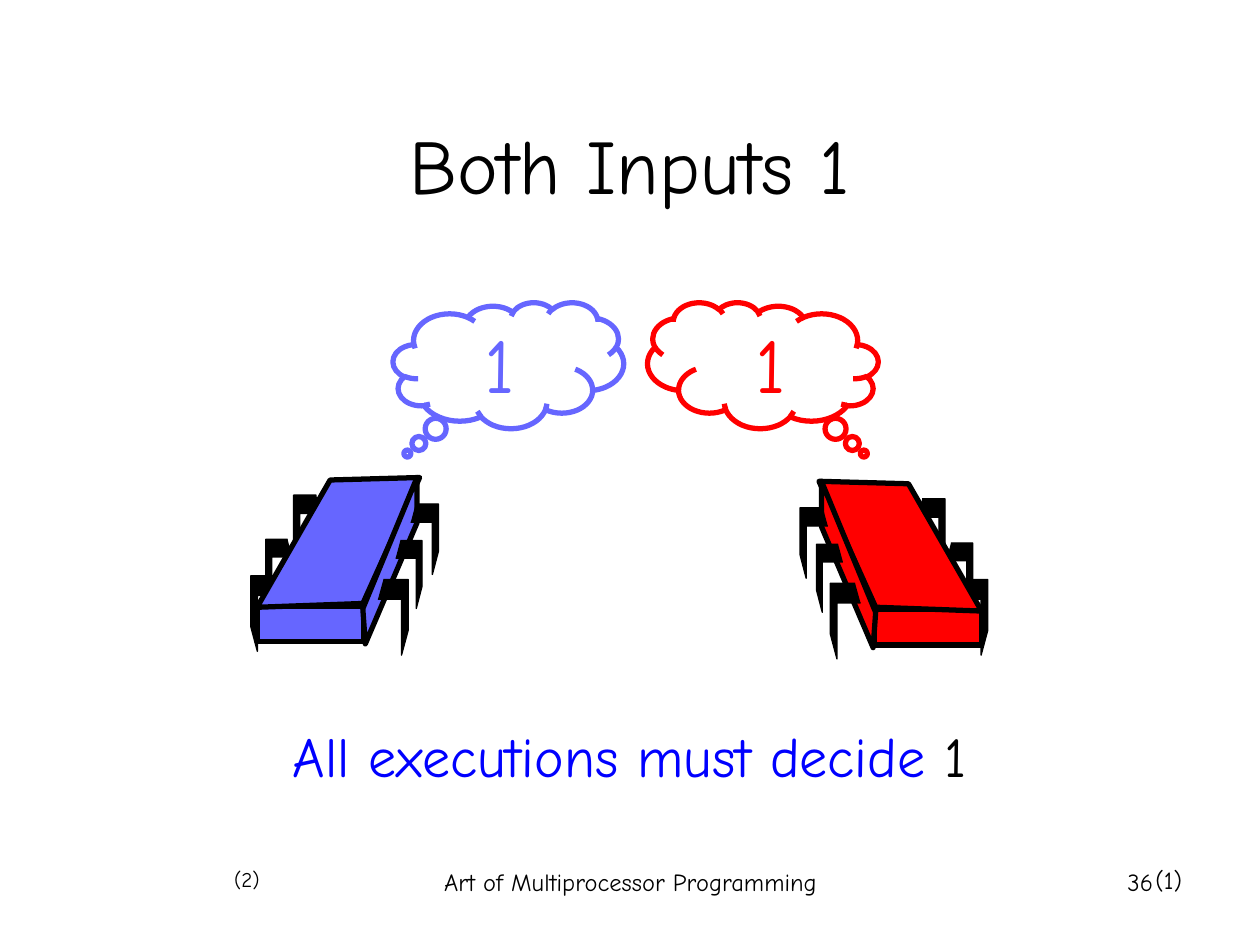
import pptx
import pptx.dml.color
import pptx.enum.shapes
import pptx.enum.text
import pptx.util

Inches = pptx.util.Inches
Align = pptx.enum.text.PP_ALIGN
Anchor = pptx.enum.text.MSO_ANCHOR
Shape = pptx.enum.shapes.MSO_SHAPE

THEME = {
    "font": "Comic Neue",
    "ink": "000000", "accent": "0000FF", "left": "6666FF", "right": "FF0000",
    "title": 44, "body": 32, "footer": 14, "small": 12,
    "outline": 3, "hairline": 0.75,
}

TEXTS = [
    ((0.75, 0.67, 8.5, 1.25), Align.CENTER, Anchor.MIDDLE, True, "title",
     [("Both Inputs 1", "ink")]),
    ((0.75, 5.68, 8.5, 0.99), Align.CENTER, Anchor.TOP, True, "body",
     [("All executions must decide ", "accent"), ("1", "ink")]),
    ((1.76, 6.83, 0.4, 0.3), Align.RIGHT, Anchor.TOP, False, "small", [("(2)", "ink")]),
    ((9.07, 6.82, 0.41, 0.34), Align.RIGHT, Anchor.TOP, False, "footer", [("(1)", "ink")]),
    ((3.42, 6.83, 3.17, 0.5), Align.CENTER, Anchor.TOP, True, "footer",
     [("Art of Multiprocessor Programming", "ink")]),
    ((7.17, 6.83, 2.08, 0.5), Align.RIGHT, Anchor.TOP, True, "footer", [("36", "ink")]),
]

THREADS = [
    {"color": "right", "mirrored": True, "drop": 0.03, "cloud": (5.14, 2.4, 1.83, 1), "input": "1"},
    {"color": "left", "mirrored": False, "drop": 0, "cloud": (3.12, 2.4, 1.83, 1), "input": "1"},
]
MIRROR_SUM = 9.83
FRONT = (2.04, 4.81, 0.85, 0.28)
TOP = [(2.04, 4.82), (2.88, 4.79), (3.33, 3.79), (2.62, 3.81)]
SIDE = [(3.31, 3.79), (3.31, 4.15), (2.9, 5.11), (2.88, 4.83)]
FAR_LEGS = [(1.99, 4.57, 0.24, 0.6), (2.11, 4.28, 0.21, 0.54), (2.33, 3.93, 0.22, 0.56)]
NEAR_LEGS = [(3, 4.6, 0.24, 0.6), (3.14, 4.29, 0.21, 0.54), (3.26, 4, 0.22, 0.56)]
LEG = [(0.82, 0), (0, 0), (0, 0.67), (0.22, 1), (0.22, 0.26), (1, 0.26)]


def rgb(name):
    return pptx.dml.color.RGBColor.from_string(THEME[name])


def paint(shape, fill, line, width):
    shape.shadow.inherit = False
    if fill:
        shape.fill.solid()
        shape.fill.fore_color.rgb = rgb(fill)
    else:
        shape.fill.background()
    shape.line.color.rgb = rgb(line)
    shape.line.width = pptx.util.Pt(THEME[width])


def write(shape, spans, size, align, anchor, wrap=True):
    frame = shape.text_frame
    frame.word_wrap = wrap
    frame.vertical_anchor = anchor
    if not wrap:
        frame.auto_size = pptx.enum.text.MSO_AUTO_SIZE.SHAPE_TO_FIT_TEXT
    para = frame.paragraphs[0]
    para.alignment = align
    for text, color in spans:
        span = para.add_run()
        span.text = text
        span.font.name = THEME["font"]
        span.font.size = pptx.util.Pt(THEME[size])
        span.font.color.rgb = rgb(color)


def leg_points(leg, near):
    left, top, width, height = leg
    return [(left + width * (1 - x if near else x), top + height * y) for x, y in LEG]


def add_thread(page, thread):
    group = page.shapes.add_group_shape()
    color = thread["color"]

    def place(x, y):
        return Inches(MIRROR_SUM - x if thread["mirrored"] else x), Inches(y + thread["drop"])

    def outline(points, close, fill, width):
        start, *rest = [place(x, y) for x, y in points]
        builder = group.shapes.build_freeform(*start, scale=1.0)
        builder.add_line_segments(rest, close=close)
        paint(builder.convert_to_shape(), fill, "ink", width)

    left, top, width, height = FRONT
    corner = left + width if thread["mirrored"] else left
    front = group.shapes.add_shape(
        Shape.RECTANGLE, *place(corner, top), Inches(width), Inches(height))
    paint(front, color, "ink", "outline")
    for leg in FAR_LEGS:
        outline(leg_points(leg, False), False, "ink", "hairline")
    for face in (TOP, SIDE):
        outline(face, True, color, "outline")
    for leg in NEAR_LEGS:
        outline(leg_points(leg, True), False, "ink", "hairline")

    cloud = page.shapes.add_shape(Shape.CLOUD_CALLOUT, *map(Inches, thread["cloud"]))
    cloud.adjustments[0] = -0.438
    cloud.adjustments[1] = 0.7
    if thread["mirrored"]:
        cloud._element.spPr.find(pptx.oxml.ns.qn("a:xfrm")).set("flipH", "1")
    paint(cloud, None, color, "outline")
    write(cloud, [(thread["input"], color)], "title", Align.CENTER, Anchor.MIDDLE)


def main():
    deck = pptx.Presentation()
    deck.slide_width, deck.slide_height = Inches(10), Inches(7.5)
    page = deck.slides.add_slide(deck.slide_layouts[6])
    for thread in THREADS:
        add_thread(page, thread)
    for bounds, align, anchor, wrap, size, spans in TEXTS:
        box = page.shapes.add_textbox(*map(Inches, bounds))
        write(box, spans, size, align, anchor, wrap)
    deck.save("out.pptx")


if __name__ == "__main__":
    main()
